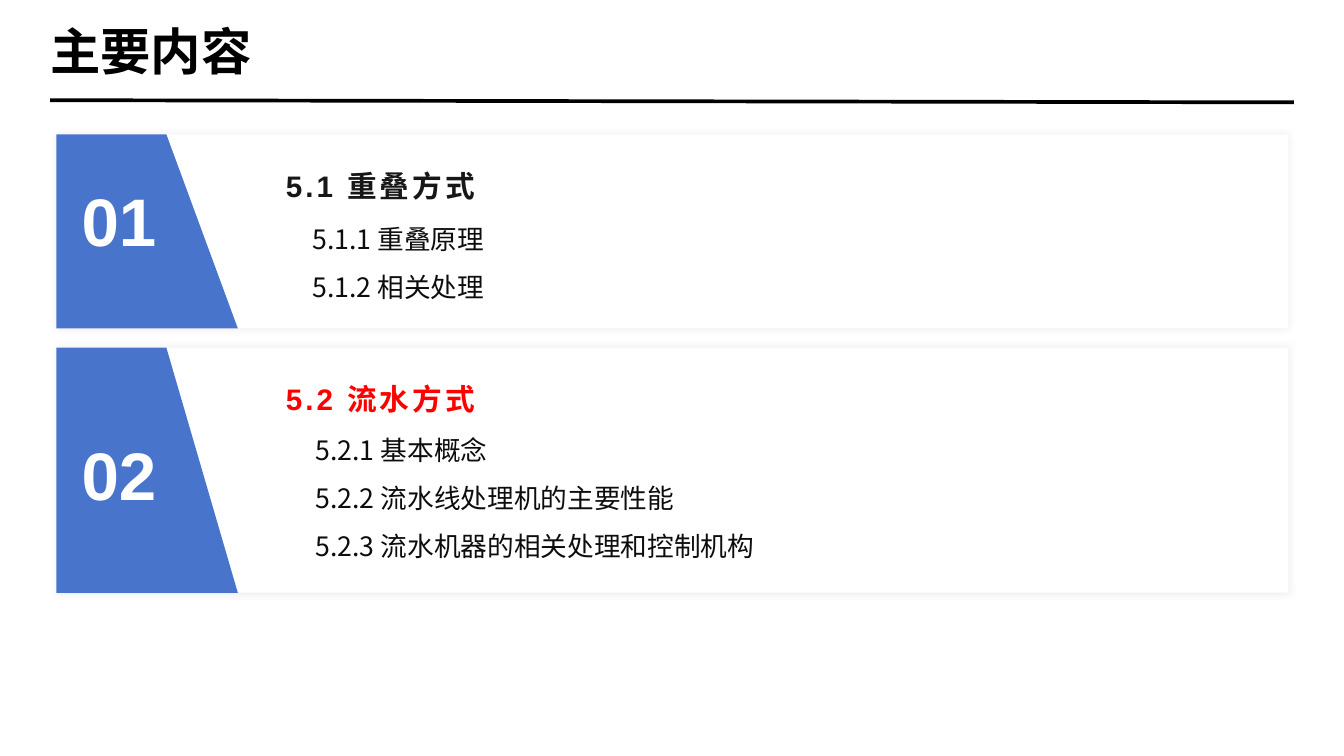
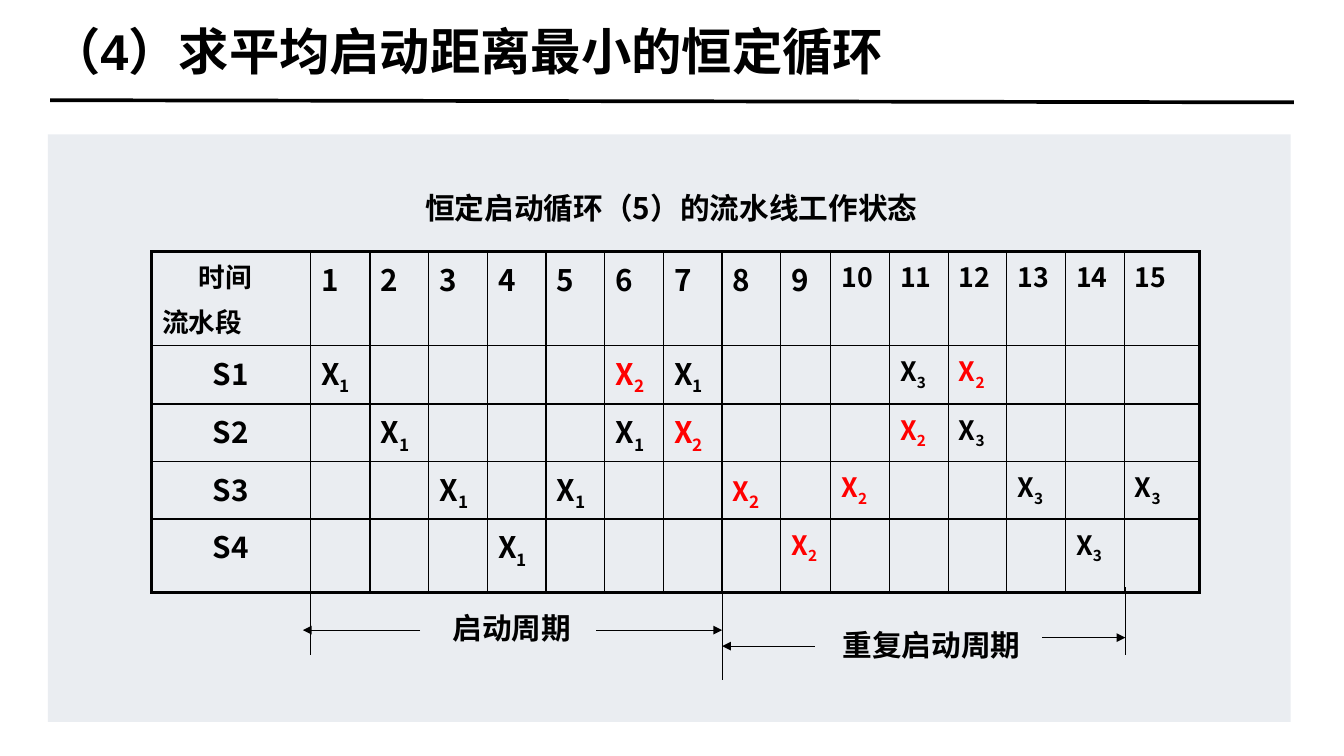
from lxml import etree
from pptx import Presentation
from pptx.dml.color import RGBColor
from pptx.enum.shapes import MSO_CONNECTOR, MSO_SHAPE
from pptx.enum.text import MSO_ANCHOR, MSO_AUTO_SIZE, PP_ALIGN
from pptx.oxml.ns import qn
from pptx.util import Inches, Pt

BLACK = RGBColor(0x00, 0x00, 0x00)
WHITE = RGBColor(0xFF, 0xFF, 0xFF)
RED = RGBColor(0xFF, 0x00, 0x00)
BLUE = RGBColor(0x48, 0x74, 0xCB)
HEADING = RGBColor(0x18, 0x17, 0x17)
BODY = RGBColor(0x0D, 0x0D, 0x0D)
PANEL = RGBColor(0xD6, 0xDC, 0xE5)

ARIAL = "Arial"
NOTO = "Noto Sans CJK SC"
LEFT, CENTER = PP_ALIGN.LEFT, PP_ALIGN.CENTER
TOP, MIDDLE, BOTTOM = MSO_ANCHOR.TOP, MSO_ANCHOR.MIDDLE, MSO_ANCHOR.BOTTOM
NO_AUTOFIT = MSO_AUTO_SIZE.NONE
RECTANGLE = MSO_SHAPE.RECTANGLE
STRAIGHT = MSO_CONNECTOR.STRAIGHT
TITLE_ONLY = 5
DEFAULT_INSETS = (0.1, 0.05, 0.1, 0.05)

CARD_LEFT, CARD_WIDTH = 0.53, 11.55
CARDS = [
    dict(top=1.26, height=1.82, number="01", number_top=1.61,
         heading="5.1 重叠方式", color=HEADING, items_top=1.89, indent=0.47,
         items=["5.1.1 重叠原理", "5.1.2 相关处理"]),
    dict(top=3.26, height=2.3, number="02", number_top=4,
         heading="5.2 流水方式", color=RED, items_top=3.87, indent=0.5,
         items=["5.2.1 基本概念", "5.2.2 流水线处理机的主要性能",
                "5.2.3 流水机器的相关处理和控制机构"]),
]

COLUMN_WIDTHS = [1.49, 0.56] + [0.55] * 7 + [0.47] + [0.55] * 5 + [0.71]
ROW_HEIGHTS = [0.8, 0.55, 0.53, 0.53, 0.69]
STAGES = {
    "S1": {1: 1, 6: 2, 7: 1, 11: 3, 12: 2},
    "S2": {2: 1, 6: 1, 7: 2, 11: 2, 12: 3},
    "S3": {3: 1, 5: 1, 8: 2, 10: 2, 13: 3, 15: 3},
    "S4": {4: 1, 9: 2, 14: 3},
}
CYCLE_LINES = [
    (2.91, 5.51, 2.91, 6.14), (6.77, 5.43, 6.77, 6.38), (10.55, 5.51, 10.55, 6.14),
]
CYCLE_ARROWS = [
    (3.94, 5.91, 2.84, 5.91), (5.59, 5.91, 6.77, 5.91),
    (9.77, 5.98, 10.55, 5.98), (7.64, 6.06, 6.77, 6.06),
]


def add_span(para, text, size=20, font=NOTO, color=BLACK, bold=True,
             spacing=0, baseline=0):
    span = para.add_run()
    span.text = text
    span.font.size = Pt(size)
    span.font.name = font
    span.font.bold = bold
    span.font.color.rgb = color
    properties = span.font._element
    etree.SubElement(properties, qn("a:ea"), typeface=NOTO)
    if spacing:
        properties.set("spc", str(spacing * 100))
    if baseline:
        properties.set("baseline", str(baseline * 1000))


def indent_para(para, inches):
    properties = para._p.get_or_add_pPr()
    properties.set("marL", str(Inches(inches)))
    properties.set("indent", "0")


class SlideBuilder:
    def __init__(self):
        self.deck = Presentation()
        self.deck.slide_width = Inches(12.6)
        self.deck.slide_height = Inches(7.09)
        self.layout = self.deck.slide_layouts[TITLE_ONLY]
        self.page = None

    def new_page(self, title):
        first = self.page is None
        self.page = self.deck.slides.add_slide(self.layout)
        if first:
            rule = self.line(0.47, 0.94, 12.13, 0.96, width=2.5)
            self.layout.shapes.element.append(rule.element)
        box = self.page.shapes.title
        box.left, box.top = Inches(0.47), Inches(0.16)
        box.width, box.height = Inches(11.65), Inches(0.63)
        self.format_frame(box.text_frame, MIDDLE, (0, 0, 0, 0))
        para = box.text_frame.paragraphs[0]
        para.alignment = LEFT
        add_span(para, title, size=34, font=ARIAL)

    def format_frame(self, frame, anchor, insets):
        frame.word_wrap = True
        frame.auto_size = NO_AUTOFIT
        frame.vertical_anchor = anchor
        (frame.margin_left, frame.margin_top,
         frame.margin_right, frame.margin_bottom) = map(Inches, insets)

    def text(self, place, lines, align=LEFT, anchor=TOP, insets=DEFAULT_INSETS,
             line_spacing=1.0, indent=0, **style):
        frame = self.page.shapes.add_textbox(*map(Inches, place)).text_frame
        self.format_frame(frame, anchor, insets)
        for index, line in enumerate(lines):
            para = frame.add_paragraph() if index else frame.paragraphs[0]
            para.alignment = align
            para.line_spacing = line_spacing
            if indent:
                indent_para(para, indent)
            add_span(para, line, **style)

    def paint(self, shape, color):
        shape.fill.solid()
        shape.fill.fore_color.rgb = color
        shape.line.fill.background()
        shape.shadow.inherit = False

    def set_alpha(self, parent, percent):
        color = parent.find(".//" + qn("a:srgbClr"))
        etree.SubElement(color, qn("a:alpha"), val=str(percent * 1000))

    def rectangle(self, place, color, alpha=None, shadow=False):
        shape = self.page.shapes.add_shape(RECTANGLE, *map(Inches, place))
        self.paint(shape, color)
        if alpha:
            self.set_alpha(shape.element.spPr, alpha)
        if shadow:
            effects = shape.element.spPr.find(qn("a:effectLst"))
            outer = etree.SubElement(effects, qn("a:outerShdw"),
                                     blurRad=str(Pt(5)), dist="0", dir="0")
            etree.SubElement(outer, qn("a:srgbClr"), val="808080")
            self.set_alpha(outer, 15)

    def trapezoid(self, left, top, height):
        points = [(left + 1.03, top), (left + 1.7, top + height), (left, top + height)]
        builder = self.page.shapes.build_freeform(Inches(left), Inches(top), scale=1.0)
        builder.add_line_segments([(Inches(x), Inches(y)) for x, y in points])
        self.paint(builder.convert_to_shape(), BLUE)

    def line(self, x1, y1, x2, y2, width=0.75, arrow=False):
        connector = self.page.shapes.add_connector(
            STRAIGHT, *map(Inches, (x1, y1, x2, y2)))
        connector.line.color.rgb = BLACK
        connector.line.width = Pt(width)
        properties = connector.element.spPr
        if arrow:
            etree.SubElement(properties.find(qn("a:ln")), qn("a:tailEnd"), type="triangle")
        etree.SubElement(properties, qn("a:effectLst"))
        return connector

    def card(self, top, height, number, number_top, heading, color,
             items_top, indent, items):
        self.rectangle((CARD_LEFT, top, CARD_WIDTH, height), WHITE, shadow=True)
        self.trapezoid(CARD_LEFT, top, height)
        self.text((0.65, number_top, 0.93, 0.89), [number], align=CENTER,
                  anchor=MIDDLE, size=45.4, font=ARIAL, color=WHITE)
        self.text((2.59, top + 0.27, 8.74, 0.38), [heading], anchor=BOTTOM,
                  insets=(0.09, 0.05, 0.09, 0), line_spacing=1.2,
                  font=ARIAL, color=color, spacing=2)
        self.text((2.36, items_top, 6.31, 0.05 + 0.47 * len(items)), items,
                  line_spacing=1.5, indent=indent, size=18, color=BODY, bold=False)

    def border(self, cell, **widths):
        properties = cell._tc.get_or_add_tcPr()
        for index, (side, width) in enumerate(widths.items()):
            edge = etree.Element(qn("a:ln" + side), w=str(Pt(width)))
            fill = etree.SubElement(edge, qn("a:solidFill"))
            etree.SubElement(fill, qn("a:srgbClr"), val=str(BLACK))
            properties.insert(index, edge)

    def table(self, left, top, widths, heights):
        rows, columns = len(heights), len(widths)
        table = self.page.shapes.add_table(
            rows, columns, Inches(left), Inches(top),
            Inches(sum(widths)), Inches(sum(heights))).table
        table.first_row = table.horz_banding = False
        for column, width in zip(table.columns, widths):
            column.width = Inches(width)
        for row, height in zip(table.rows, heights):
            row.height = Inches(height)
        for row in range(rows):
            for column in range(columns):
                cell = table.cell(row, column)
                cell.fill.background()
                self.border(cell,
                            L=1 if column else 2.25,
                            R=1 if column < columns - 1 else 2.25,
                            T=1 if row else 2.25,
                            B=1 if row < rows - 1 else 2.25)
        return table


def fill_schedule(table):
    corner = table.cell(0, 0).text_frame
    indent_para(corner.paragraphs[0], 0.34)
    add_span(corner.paragraphs[0], "时间", size=18)
    stage_label = corner.add_paragraph()
    stage_label.space_before = Pt(4)
    add_span(stage_label, "流水段", size=18)
    for time in range(1, len(COLUMN_WIDTHS)):
        para = table.cell(0, time).text_frame.paragraphs[0]
        add_span(para, str(time), size=20 if time < 10 else 18)
    for row, (stage, tasks) in enumerate(STAGES.items(), 1):
        para = table.cell(row, 0).text_frame.paragraphs[0]
        para.alignment = CENTER
        add_span(para, stage)
        for time, task in tasks.items():
            para = table.cell(row, time).text_frame.paragraphs[0]
            color = RED if task == 2 else BLACK
            add_span(para, "X", size=20 if time < 8 else 18, color=color)
            add_span(para, str(task), size=20 if time < 9 else 18,
                     color=color, baseline=-25)


def main():
    builder = SlideBuilder()

    builder.new_page("主要内容")
    for card in CARDS:
        builder.card(**card)

    builder.new_page("（4）求平均启动距离最小的恒定循环")
    builder.rectangle((0.45, 1.26, 11.65, 5.51), PANEL, alpha=50)
    fill_schedule(builder.table(1.42, 2.36, COLUMN_WIDTHS, ROW_HEIGHTS))
    builder.text((2.28, 1.73, 8.03, 0.44), ["恒定启动循环（5）的流水线工作状态"], align=CENTER)
    builder.text((3.7, 5.67, 2.2, 0.44), ["启动周期"], align=CENTER)
    builder.text((7.8, 5.83, 2.2, 0.44), ["重复启动周期"])
    for ends in CYCLE_LINES:
        builder.line(*ends)
    for ends in CYCLE_ARROWS:
        builder.line(*ends, arrow=True)

    builder.deck.save("out.pptx")


if __name__ == "__main__":
    main()
